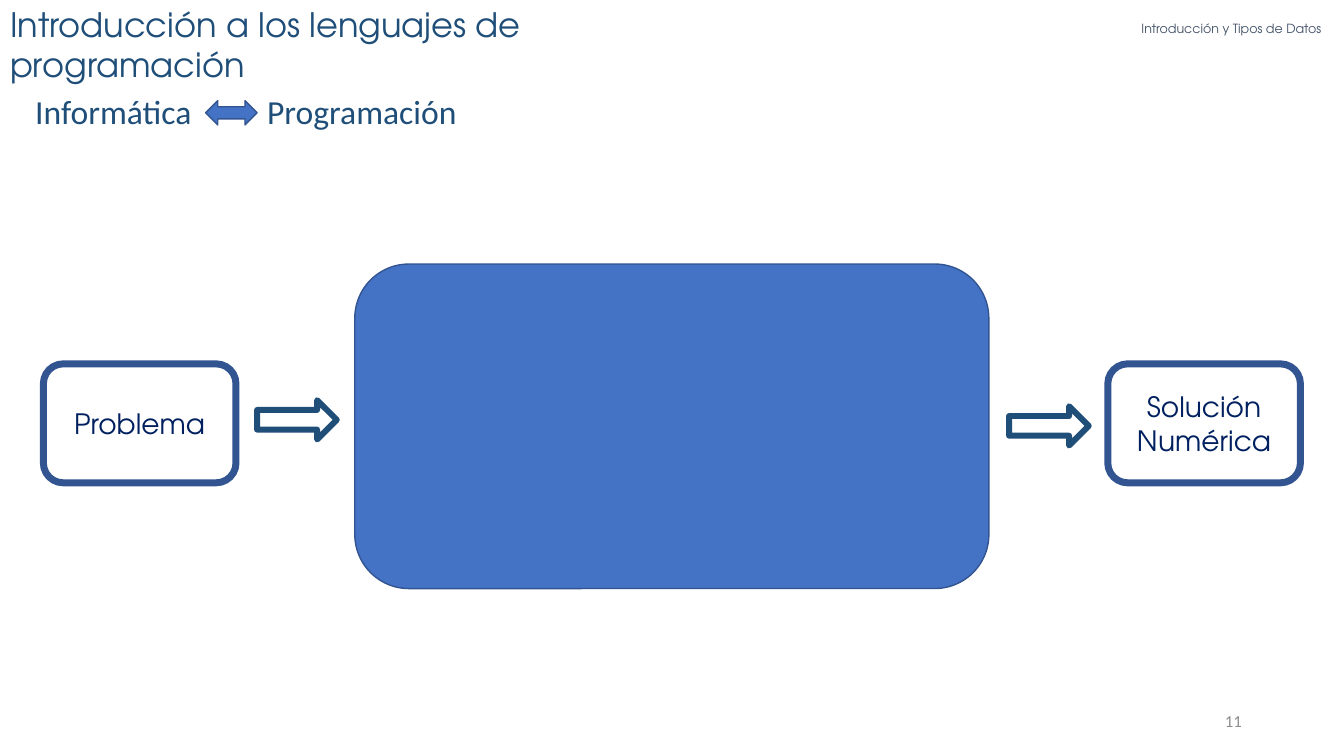
from lxml import etree
from pptx import Presentation
from pptx.dml.color import RGBColor
from pptx.enum.shapes import MSO_SHAPE as SHAPE
from pptx.enum.text import MSO_ANCHOR as ANCHOR, MSO_AUTO_SIZE as AUTO, PP_ALIGN as ALIGN
from pptx.oxml.ns import qn
from pptx.util import Inches, Pt

COLORS = {
    "heading": "1F4E79", "section": "44546A", "label": "002060", "blue": "4472C4",
    "border": "325491", "white": "FFFFFF", "number": "8C8C8C",
}
DISPLAY, BODY = "TeX Gyre Adventor", "Calibri"


def rgb(name):
    return RGBColor.from_string(COLORS[name])


class SlideBuilder:
    """Places elements by box: left, top, width, height in percent of the slide."""

    def __init__(self, prs):
        self.width, self.height = prs.slide_width, prs.slide_height
        self.slide = prs.slides.add_slide(prs.slide_layouts[5])

    def place(self, box):
        sides = (self.width, self.height) * 2
        return [round(side * share / 100) for side, share in zip(sides, box)]

    def set_text(self, sp, text, size, color, font=DISPLAY, align=ALIGN.LEFT,
                 anchor=ANCHOR.TOP, spacing=1.0, tab=None):
        tf = sp.text_frame
        tf.word_wrap, tf.auto_size, tf.vertical_anchor = True, AUTO.NONE, anchor
        p = tf.paragraphs[0]
        p.alignment, p.line_spacing = align, spacing
        if tab:
            tabs = etree.SubElement(p._p.get_or_add_pPr(), qn("a:tabLst"))
            etree.SubElement(tabs, qn("a:tab"), pos=str(Inches(tab)), algn="l")
        r = p.add_run()
        r.text = text
        r.font.name, r.font.size = font, Pt(size)
        r.font.color.rgb = rgb(color)

    def title(self, box, text, size):
        sp = self.slide.shapes.title
        sp.left, sp.top, sp.width, sp.height = self.place(box)
        self.set_text(sp, text, size, "heading")

    def text(self, box, text, size, color, **style):
        sp = self.slide.shapes.add_textbox(*self.place(box))
        self.set_text(sp, text, size, color, **style)

    def shape(self, kind, box, fill=None, line="border", weight=1):
        sp = self.slide.shapes.add_shape(kind, *self.place(box))
        sp.shadow.inherit = False
        if fill:
            sp.fill.solid()
            sp.fill.fore_color.rgb = rgb(fill)
        else:
            sp.fill.background()
        sp.line.color.rgb = rgb(line)
        sp.line.width = Pt(weight)
        return sp

    def stage(self, left, label):
        sp = self.shape(SHAPE.ROUNDED_RECTANGLE, (left, 48.13, 14.33, 15.73), weight=5)
        self.set_text(sp, label, 20, "label", align=ALIGN.CENTER, anchor=ANCHOR.MIDDLE)

    def flow_arrow(self, left, top):
        self.shape(SHAPE.RIGHT_ARROW, (left, top, 5.93, 5.2), "white", "heading", 4.25)


def main():
    prs = Presentation()
    prs.slide_width, prs.slide_height = Inches(13.33), Inches(7.5)
    s = SlideBuilder(prs)

    s.title((0, -0.13, 57.45, 6.67), "Introducción a los lenguajes de programación", 24)
    s.text((80.7, 2.27, 21.83, 3.87), "Introducción y Tipos de Datos", 9, "section",
           align=ALIGN.CENTER, spacing=0.9)

    s.text((1.88, 11.33, 64.43, 6.67), "Informática\tProgramación", 24, "heading",
           font=BODY, tab=2.3)
    s.shape(SHAPE.LEFT_RIGHT_ARROW, (15.3, 13.33, 3.83, 3.2), "blue")

    s.stage(3.23, "Problema")
    s.stage(82.43, "Solución Numérica")
    s.shape(SHAPE.ROUNDED_RECTANGLE, (26.4, 34.93, 47.18, 42.93), "blue")
    s.flow_arrow(19.13, 52.93)
    s.flow_arrow(75.08, 53.73)

    s.text((70.65, 92.67, 22.5, 5.33), "11", 12, "number", font=BODY,
           align=ALIGN.RIGHT, anchor=ANCHOR.MIDDLE)
    prs.save("out.pptx")


if __name__ == "__main__":
    main()
